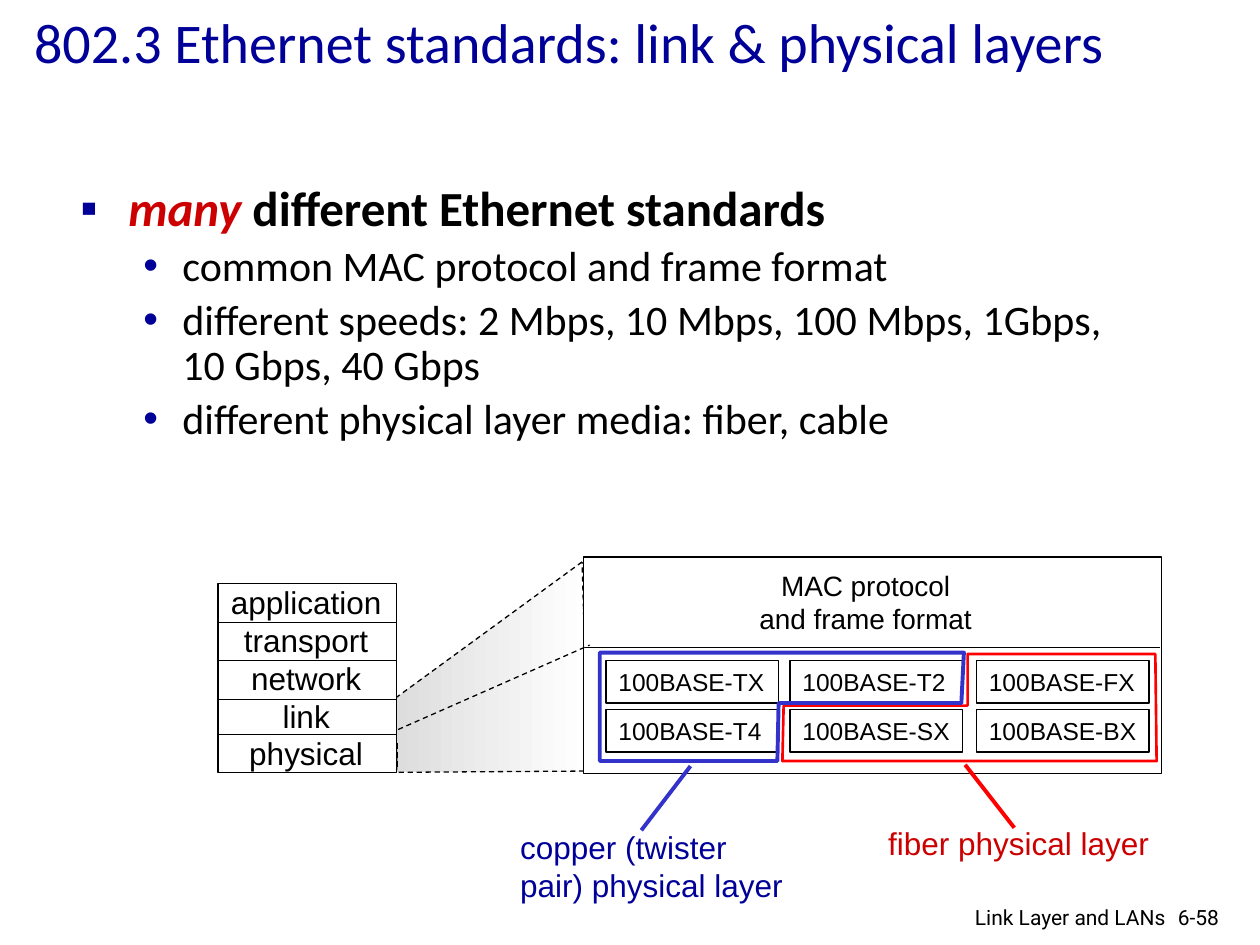
import pptx
import pptx.dml.color
import pptx.enum.dml
import pptx.enum.shapes
import pptx.enum.text
import pptx.oxml
import pptx.oxml.ns
import pptx.util
from pptx.util import Inches

ALIGN = pptx.enum.text.PP_ALIGN
ANCHOR = pptx.enum.text.MSO_ANCHOR
BLACK, WHITE = "000000", "FFFFFF"
NAVY, BLUE, DARK_RED, RED = "000099", "3333CC", "CC0000", "FF0000"
THIN = 0.75


def rgb(color):
    return pptx.dml.color.RGBColor.from_string(color)


def add_run(paragraph, text, size, color=BLACK, name="Arial", **formats):
    run = paragraph.add_run()
    run.text = text
    run.font.color.rgb = rgb(color)
    values = {"size": pptx.util.Pt(size), "name": name, **formats}
    for attribute, value in values.items():
        setattr(run.font, attribute, value)


def style_line(line, color=BLACK, width=THIN, dashed=False):
    line.color.rgb = rgb(color)
    line.width = pptx.util.Pt(width)
    if dashed:
        line.dash_style = pptx.enum.dml.MSO_LINE.DASH


def add_text(slide, box, lines, size, color=BLACK, name="Arial",
             align=ALIGN.LEFT, wrap=False, anchor=ANCHOR.TOP):
    """Add a text box with one paragraph for each line."""
    shape = slide.shapes.add_textbox(*map(Inches, box))
    frame = shape.text_frame
    frame.word_wrap = wrap
    frame.vertical_anchor = anchor
    for index, text in enumerate(lines):
        paragraph = frame.add_paragraph() if index else frame.paragraphs[0]
        paragraph.alignment = align
        add_run(paragraph, text, size, color, name)
    return shape


def add_rectangle(slide, box):
    shape = slide.shapes.add_shape(
        pptx.enum.shapes.MSO_SHAPE.RECTANGLE, *map(Inches, box))
    shape.shadow.inherit = False
    shape.fill.solid()
    shape.fill.fore_color.rgb = rgb(WHITE)
    style_line(shape.line)


def add_line(slide, start, end, **line_format):
    connector = slide.shapes.add_connector(
        pptx.enum.shapes.MSO_CONNECTOR.STRAIGHT, *map(Inches, start + end))
    style_line(connector.line, **line_format)
    properties = connector._element.spPr
    properties.append(pptx.oxml.parse_xml(
        "<a:effectLst %s/>" % pptx.oxml.ns.nsdecls("a")))


def add_outline(slide, points, **line_format):
    """Add a closed, unfilled polygon through points given in inches."""
    corners = [tuple(map(Inches, point)) for point in points]
    builder = slide.shapes.build_freeform(*corners[0])
    builder.add_line_segments(corners[1:], close=True)
    shape = builder.convert_to_shape()
    shape.shadow.inherit = False
    shape.fill.background()
    style_line(shape.line, **line_format)
    return shape


def format_bullet(paragraph, bullet, margin, indent, size):
    paragraph.line_spacing = 0.9
    paragraph.space_before = pptx.util.Pt(size * 0.2)
    properties = paragraph._p.get_or_add_pPr()
    properties.set("marL", str(Inches(margin)))
    properties.set("indent", str(Inches(indent)))
    namespace = pptx.oxml.ns.nsdecls("a")
    for xml in (f'<a:buClr {namespace}><a:srgbClr val="{NAVY}"/></a:buClr>',
                f'<a:buFont {namespace} typeface="Arial"/>',
                f'<a:buChar {namespace} char="{bullet}"/>'):
        properties.append(pptx.oxml.parse_xml(xml))


def add_title(slide, text):
    title = slide.shapes.title
    title.left, title.top, title.width, title.height = map(
        Inches, (0.17, 0.1, 9.68, 0.46))
    title.text_frame.vertical_anchor = ANCHOR.MIDDLE
    paragraph = title.text_frame.paragraphs[0]
    paragraph.alignment = ALIGN.LEFT
    add_run(paragraph, text, 32, NAVY, "Calibri")


def add_bullets(slide):
    frame = add_text(slide, (0.54, 1.41, 8.5, 2.3), [], 28, wrap=True).text_frame
    heading = frame.paragraphs[0]
    add_run(heading, "many ", 28, DARK_RED, "Calibri", bold=True, italic=True)
    add_run(heading, "different Ethernet standards", 28, name="Calibri", bold=True)
    format_bullet(heading, "▪", 0.38, -0.38, 28)
    for text in ("common MAC protocol and frame format",
                 "different speeds: 2 Mbps, 10 Mbps, 100 Mbps, 1Gbps, "
                 "10 Gbps, 40 Gbps",
                 "different physical layer media: fiber, cable"):
        paragraph = frame.add_paragraph()
        paragraph.level = 1
        add_run(paragraph, text, 24, name="Calibri")
        format_bullet(paragraph, "•", 0.81, -0.31, 24)


def add_zoom_wedge(slide):
    wedge = add_outline(slide, [(4.62, 4.46), (3.14, 5.54), (3.15, 6.13),
                                (4.67, 6.12)], dashed=True)
    wedge.fill.gradient()
    wedge.fill.gradient_angle = 0
    for stop, color, position in zip(wedge.fill.gradient_stops,
                                     ("DDDDDD", WHITE), (0, 1)):
        stop.color.rgb = rgb(color)
        stop.position = position


def add_protocol_stack(slide):
    left, right = 1.73, 3.15
    add_rectangle(slide, (left, 4.63, right - left, 1.5))
    add_text(slide, (left, 4.58, 1.4, 1.6),
             ["application", "transport", "network", "link", "physical"],
             18, align=ALIGN.CENTER)
    for y in (4.94, 5.24, 5.55, 5.83):
        add_line(slide, (left, y), (right, y))
    for x in (left, right):
        add_line(slide, (x, 5.9), (x, 6.09), dashed=True)


def add_standards(slide):
    add_rectangle(slide, (4.63, 4.42, 4.59, 1.72))
    add_line(slide, (4.64, 5.14), (9.21, 5.14))
    add_text(slide, (5.92, 4.46, 1.9, 0.64),
             ["MAC protocol", "and frame format"], 16, align=ALIGN.CENTER)
    add_line(slide, (3.16, 5.79), (4.68, 5.12), dashed=True)
    rows = ((5.24, ("TX", "T2", "FX")), (5.63, ("T4", "SX", "BX")))
    for top, media in rows:
        for left, medium in zip((4.81, 6.27, 7.75), media):
            box = add_text(slide, (left, top, 1.37, 0.34),
                           ["100BASE-" + medium], 14, anchor=ANCHOR.MIDDLE)
            style_line(box.line)


def add_media_group(slide, points, start, end, label_box, label, color,
                    text_color, outline_width):
    """Outline one family of standards and tie it to its label."""
    add_outline(slide, points, color=color, width=outline_width)
    add_line(slide, start, end, color=color, width=2.25)
    add_text(slide, label_box, label, 18, text_color)


def main():
    presentation = pptx.Presentation()
    presentation.slide_width, presentation.slide_height = Inches(10), Inches(7.5)
    slide = presentation.slides.add_slide(presentation.slide_layouts[5])
    add_title(slide, "802.3 Ethernet standards: link & physical layers")
    add_bullets(slide)
    add_zoom_wedge(slide)
    add_protocol_stack(slide)
    add_standards(slide)
    add_media_group(
        slide, [(7.68, 5.19), (7.68, 5.6), (6.22, 5.6), (6.21, 6.04),
                (9.18, 6.04), (9.17, 5.19)],
        (7.66, 6.07), (8.05, 6.57), (6.95, 6.49, 2.29, 0.4),
        ["fiber physical layer"], RED, DARK_RED, 1.5)
    add_media_group(
        slide, [(7.65, 5.18), (7.63, 5.58), (6.18, 5.58), (6.17, 6.04),
                (4.76, 6.04), (4.76, 5.18)],
        (5.48, 6.08), (5.09, 6.59), (4.03, 6.52, 2.31, 0.71),
        ["copper (twister", "pair) physical layer"], BLUE, NAVY, 2.25)
    add_text(slide, (9.25, 7.13, 0.6, 0.3), ["6-58"], 12, name="Roboto", wrap=True)
    add_text(slide, (6.97, 7.13, 2.38, 0.26), ["Link Layer and LANs"], 12,
             name="Roboto", align=ALIGN.RIGHT, wrap=True)
    presentation.save("out.pptx")


if __name__ == "__main__":
    main()
